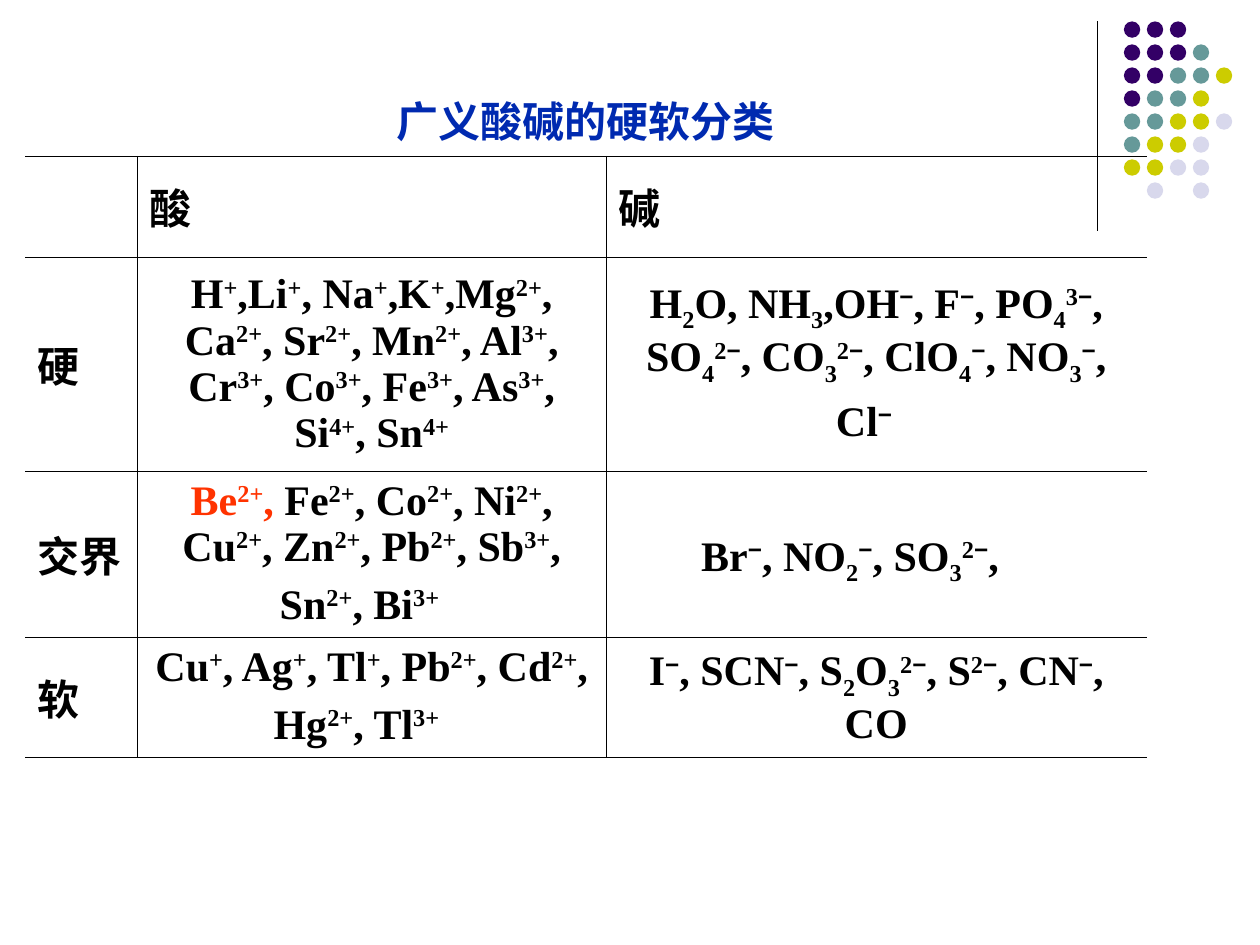
"""Slide that sorts acids and bases into hard, borderline and soft."""
from lxml import etree
from pptx import Presentation
from pptx.dml.color import RGBColor
from pptx.enum.shapes import MSO_CONNECTOR, MSO_SHAPE
from pptx.enum.text import MSO_ANCHOR, PP_ALIGN
from pptx.oxml.ns import qn
from pptx.util import Inches, Pt

LINE = MSO_CONNECTOR.STRAIGHT
OVAL = MSO_SHAPE.OVAL
MIDDLE, BOTTOM = MSO_ANCHOR.MIDDLE, MSO_ANCHOR.BOTTOM
LEFT, CENTER = PP_ALIGN.LEFT, PP_ALIGN.CENTER

THEME = {
    "ink": RGBColor.from_string("000000"),
    "title": RGBColor.from_string("002AB0"),
    "red": RGBColor.from_string("FF3300"),
    "P": RGBColor.from_string("330066"),
    "T": RGBColor.from_string("669999"),
    "Y": RGBColor.from_string("CCCC00"),
    "L": RGBColor.from_string("D8D8EC"),
    "size": Pt(24),
    "serif": "Times New Roman",
    "sans": "Arial",
    "han": "Noto Sans CJK SC",
    "rule": Pt(0.75),
    "grid": Pt(0.45),
}
PLAIN = "{2D5ABB26-0587-4C30-8999-92F81FD0307C}"
SHIFT = {"^": "30000", "_": "-25000"}
DOTS = ["PPP", "PPPT", "PPTTY", "PTTY", "TTYYL", "TYYL", "YYLL", " L L"]
COLS = [0.89, 3.72, 4.29]
ROWS = [0.8, 0.8, 1.7, 1.3, 0.9]

# In the cells, | parts the runs, ^ raises a run and _ lowers it.
CELLS = [
    ["广义酸碱的硬软分类", "", ""],
    ["", "酸", "碱"],
    [
        "硬",
        "H|^+|,Li|^+|, Na|^+|,K|^+|,Mg|^2+|, Ca|^2+|, Sr|^2+|, Mn|^2+|, Al|^3+"
        "|, Cr|^3+|, Co|^3+|, Fe|^3+|, As|^3+|, Si|^4+|, Sn|^4+",
        "H|_2|O, NH|_3|,OH|^−|, F|^−|, PO|_4|^3|^−|, SO|_4|^2|^−|, CO|_3|^2|^−"
        "|, ClO|_4|^−|, NO|_3|^−|, Cl|^−　",
    ],
    [
        "交界",
        "Be|^2+|,| Fe|^2+|, Co|^2+|, Ni|^2+|, Cu|^2+|, Zn|^2+|, Pb|^2+|, Sb|^3+"
        "|, Sn|^2+|, Bi|^3+　",
        "Br|^−|, NO|_2|^−|, SO|_3|^2|^−|, 　",
    ],
    [
        "软",
        "Cu|^+|, Ag|^+|, Tl|^+|, Pb|^2+|, Cd|^2+|, Hg|^2+|, Tl|^3+ 　",
        "I|^−|, SCN|^−|, S|_2|O|_3|^2|^−|, S|^2|^−|, CN|^−|, CO",
    ],
]


def write(para, text):
    for part in text.split("|"):
        mark = part[:1]
        run = para.add_run()
        run.text = part[1:] if mark in SHIFT else part
        font = run.font
        font.size, font.bold = THEME["size"], True
        font.color.rgb = THEME["ink"]
        font.name = THEME["sans" if "−" in part else "serif"]
        props = run._r.get_or_add_rPr()
        etree.SubElement(props, qn("a:ea")).set("typeface", THEME["han"])
        if mark in SHIFT:
            props.set("baseline", SHIFT[mark])


def border(cell, sides):
    props = cell._tc.get_or_add_tcPr()
    for side in "LRTB":
        edge = etree.SubElement(props, qn("a:ln" + side))
        if side in sides:
            edge.set("w", str(THEME["grid"]))
            fill = etree.SubElement(edge, qn("a:solidFill"))
            etree.SubElement(fill, qn("a:srgbClr")).set("val", str(THEME["ink"]))
        else:
            etree.SubElement(edge, qn("a:noFill"))


deck = Presentation()
deck.slide_width, deck.slide_height = Inches(10), Inches(7.5)
slide = deck.slides.add_slide(deck.slide_layouts[6])

rule = slide.shapes.add_connector(
    LINE, Inches(8.71), Inches(0.17), Inches(8.71), Inches(1.83))
rule.line.color.rgb = THEME["ink"]
rule.line.width = THEME["rule"]
etree.SubElement(rule._element.spPr, qn("a:effectLst"))

group = slide.shapes.add_group_shape()
step = 0.73 / 4
for row, line in enumerate(DOTS):
    for col, key in enumerate(line):
        if key == " ":
            continue
        dot = group.shapes.add_shape(
            OVAL, Inches(8.92 + col * step), Inches(0.17 + row * step),
            Inches(0.13), Inches(0.13))
        dot.shadow.inherit = False
        dot.fill.solid()
        dot.fill.fore_color.rgb = THEME[key]
        dot.line.fill.background()

frame = slide.shapes.add_table(
    len(ROWS), len(COLS), Inches(0.2), Inches(0.44),
    Inches(sum(COLS)), Inches(sum(ROWS)))
table = frame.table
table.first_row = table.horz_banding = False
table._tbl.tblPr.find(qn("a:tableStyleId")).text = PLAIN
for col, width in zip(table.columns, COLS):
    col.width = Inches(width)
for row, height in zip(table.rows, ROWS):
    row.height = Inches(height)
table.cell(0, 0).merge(table.cell(0, 2))

for row, texts in enumerate(CELLS):
    for col, text in enumerate(texts):
        cell = table.cell(row, col)
        border(cell, ["TBR", "TBLR", "TBL"][col] if row else "B")
        cell.fill.background()
        cell.vertical_anchor = MIDDLE if row else BOTTOM
        para = cell.text_frame.paragraphs[0]
        para.alignment = CENTER if row == 0 or (row > 1 and col) else LEFT
        if text:
            write(para, text)
        else:
            para.font.size = THEME["size"]

head = table.cell(0, 0).text_frame.paragraphs[0].runs[0].font
head.name = THEME["han"]
head.color.rgb = THEME["title"]
for run in table.cell(3, 1).text_frame.paragraphs[0].runs[:3]:
    run.font.color.rgb = THEME["red"]

deck.save("out.pptx")
